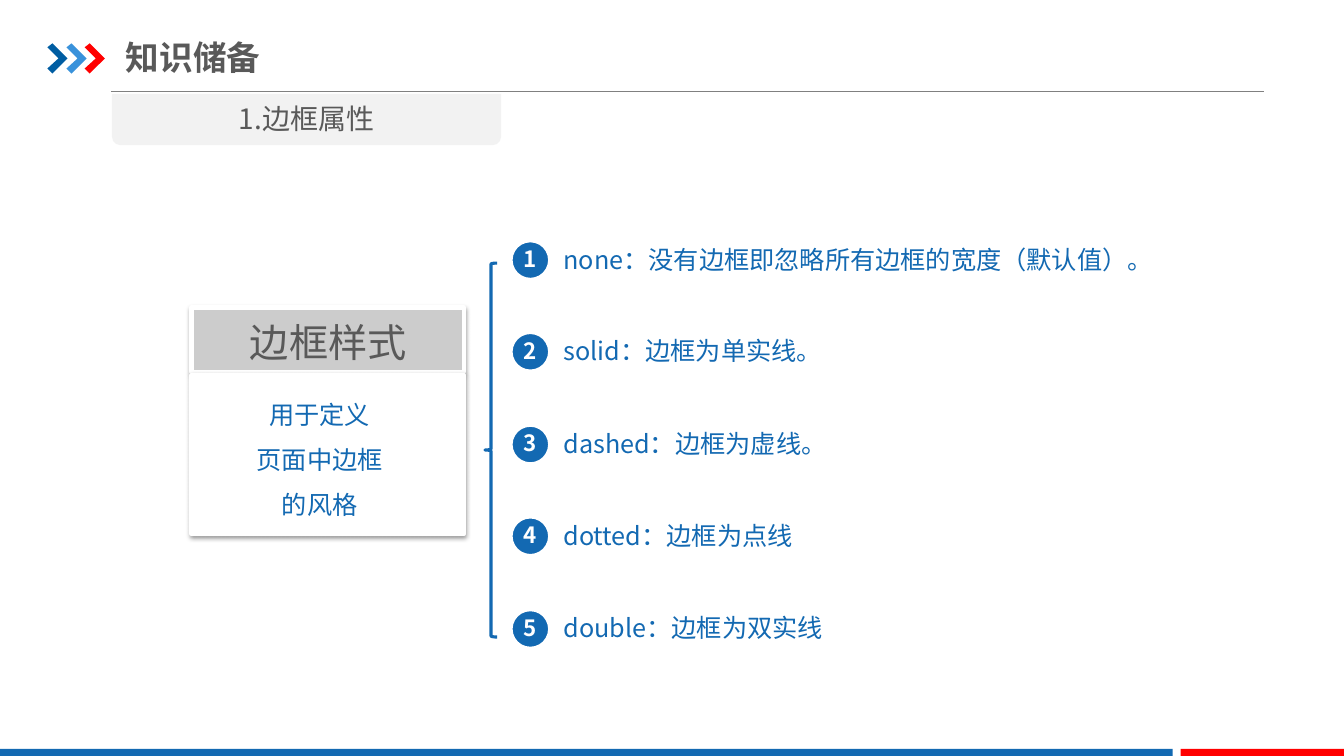
from lxml.etree import SubElement
from pptx import Presentation
from pptx.dml.color import RGBColor
from pptx.enum.shapes import MSO_CONNECTOR, MSO_SHAPE
from pptx.enum.text import MSO_ANCHOR, PP_ALIGN
from pptx.oxml.ns import qn
from pptx.util import Emu, Pt

FONT = "Noto Sans CJK SC"
BLUE, RED, WHITE, DARK_GREY = "1369B2", "FF0000", "FFFFFF", "595959"

BORDER_STYLES = [
    ("none：没有边框即忽略所有边框的宽度（默认值）。", 612),
    ("solid：边框为单实线。", 279),
    ("dashed：边框为虚线。", 285),
    ("dotted：边框为点线", 253),
    ("double：边框为双实线", 282),
]


def px(length):
    """Convert px, at 100 to the inch, to EMU."""
    return Emu(length * 9144)


def color(hex_value):
    return RGBColor.from_string(hex_value)


def paint(shape, fill=None, line=None, line_width=0):
    if fill:
        shape.fill.solid()
        shape.fill.fore_color.rgb = color(fill)
    else:
        shape.fill.background()
    if line:
        shape.line.color.rgb = color(line)
        shape.line.width = Pt(line_width)
    else:
        shape.line.fill.background()
    shape.shadow.inherit = False


def add_box(slide, kind, left, top, width, height, **style):
    shape = slide.shapes.add_shape(kind, px(left), px(top), px(width), px(height))
    paint(shape, **style)
    return shape


def write(shape, text, size, hex_value, bold=False, align=PP_ALIGN.CENTER, spacing=None):
    frame = shape.text_frame
    frame.text = text
    for paragraph in frame.paragraphs:
        paragraph.alignment = align
        paragraph.line_spacing = spacing
        for run in paragraph.runs:
            run.font.size = Pt(size)
            run.font.bold = bold
            run.font.color.rgb = color(hex_value)
            run.font.name = FONT
            SubElement(run.font._element, qn("a:ea"), typeface=FONT)


def set_frame(shape, horizontal, vertical):
    """Centre the text vertically and set its insets."""
    frame = shape.text_frame
    frame.vertical_anchor = MSO_ANCHOR.MIDDLE
    frame.margin_left = frame.margin_right = px(horizontal)
    frame.margin_top = frame.margin_bottom = px(vertical)


def add_text(slide, left, top, width, height, text, size, hex_value, wrap=True, **style):
    box = slide.shapes.add_textbox(px(left), px(top), px(width), px(height))
    box.text_frame.word_wrap = wrap
    write(box, text, size, hex_value, **style)
    return box


def add_rule(slide, left, top, right):
    rule = slide.shapes.add_connector(
        MSO_CONNECTOR.STRAIGHT, px(left), px(top), px(right), px(top))
    rule.line.color.rgb = color("808080")
    rule.line.width = Pt(0.75)
    SubElement(rule._element.spPr, qn("a:effectLst"))


def add_chevron(slide, left, top, fill):
    points = [(0, 4), (5, 0), (20, 15), (5, 30), (0, 25), (11, 15)]
    corners = [(px(left + x), px(top + y)) for x, y in points]
    builder = slide.shapes.build_freeform(*corners[0], scale=1.0)
    builder.add_line_segments(corners[1:], close=True)
    paint(builder.convert_to_shape(), fill)


def add_card(slide, top, height, fill):
    """Add a white-edged panel with a soft shadow below it."""
    card = add_box(slide, MSO_SHAPE.RECTANGLE, 190, top, 270, height,
                   fill=fill, line=WHITE, line_width=3)
    effects = card._element.spPr.find(qn("a:effectLst"))
    shadow = SubElement(effects, qn("a:outerShdw"), blurRad="40000", dist="20000",
                        dir="5400000", rotWithShape="0")
    black = SubElement(shadow, qn("a:srgbClr"), val="000000")
    SubElement(black, qn("a:alpha"), val="38000")


def add_style_item(slide, number, top, text, width):
    badge = add_box(slide, MSO_SHAPE.OVAL, 507, top, 38, 38,
                    fill=BLUE, line=WHITE, line_width=2)
    set_frame(badge, 0, 0)
    write(badge, str(number), 16, WHITE, bold=True, spacing=0.9)
    add_text(slide, 549, top - 2, width, 40, text, 18, BLUE, align=PP_ALIGN.LEFT)


def add_header(slide):
    add_rule(slide, 110, 91, 1254)
    for left, fill in zip((47, 66, 84), ("005DA2", "3992DB", RED)):
        add_chevron(slide, left, 43, fill)
    title = add_text(slide, 125, 29, 426, 55, "知识储备", 24, DARK_GREY,
                     bold=True, align=PP_ALIGN.LEFT)
    set_frame(title, 0, 7)
    tab = add_box(slide, MSO_SHAPE.ROUND_2_SAME_RECTANGLE, 111, 93, 386, 51, fill="F2F2F2")
    tab.rotation = 180
    add_text(slide, 111, 96, 386, 44, "1.边框属性", 20, DARK_GREY)


def add_footer(slide):
    add_box(slide, MSO_SHAPE.RECTANGLE, 0, 743, 1163, 9, fill=BLUE)
    add_box(slide, MSO_SHAPE.RECTANGLE, 1171, 743, 163, 9, fill=RED)


def main():
    presentation = Presentation()
    presentation.slide_width, presentation.slide_height = px(1333), px(750)
    slide = presentation.slides.add_slide(presentation.slide_layouts[6])

    add_footer(slide)
    add_header(slide)

    add_card(slide, 305, 64, "CCCCCC")
    add_text(slide, 191, 311, 269, 57, "边框样式", 28, DARK_GREY)
    add_card(slide, 372, 158, WHITE)
    add_text(slide, 244, 376, 146, 141, "用于定义\n页面中边框\n的风格", 18, BLUE,
             wrap=False, spacing=1.5)

    brace = add_box(slide, MSO_SHAPE.LEFT_BRACE, 481, 261, 12, 371,
                    line=BLUE, line_width=2.25)
    brace.adjustments[0] = 0.083
    for index, (text, width) in enumerate(BORDER_STYLES):
        add_style_item(slide, index + 1, 239 + index * 183 // 2, text, width)

    presentation.save("out.pptx")


if __name__ == "__main__":
    main()
